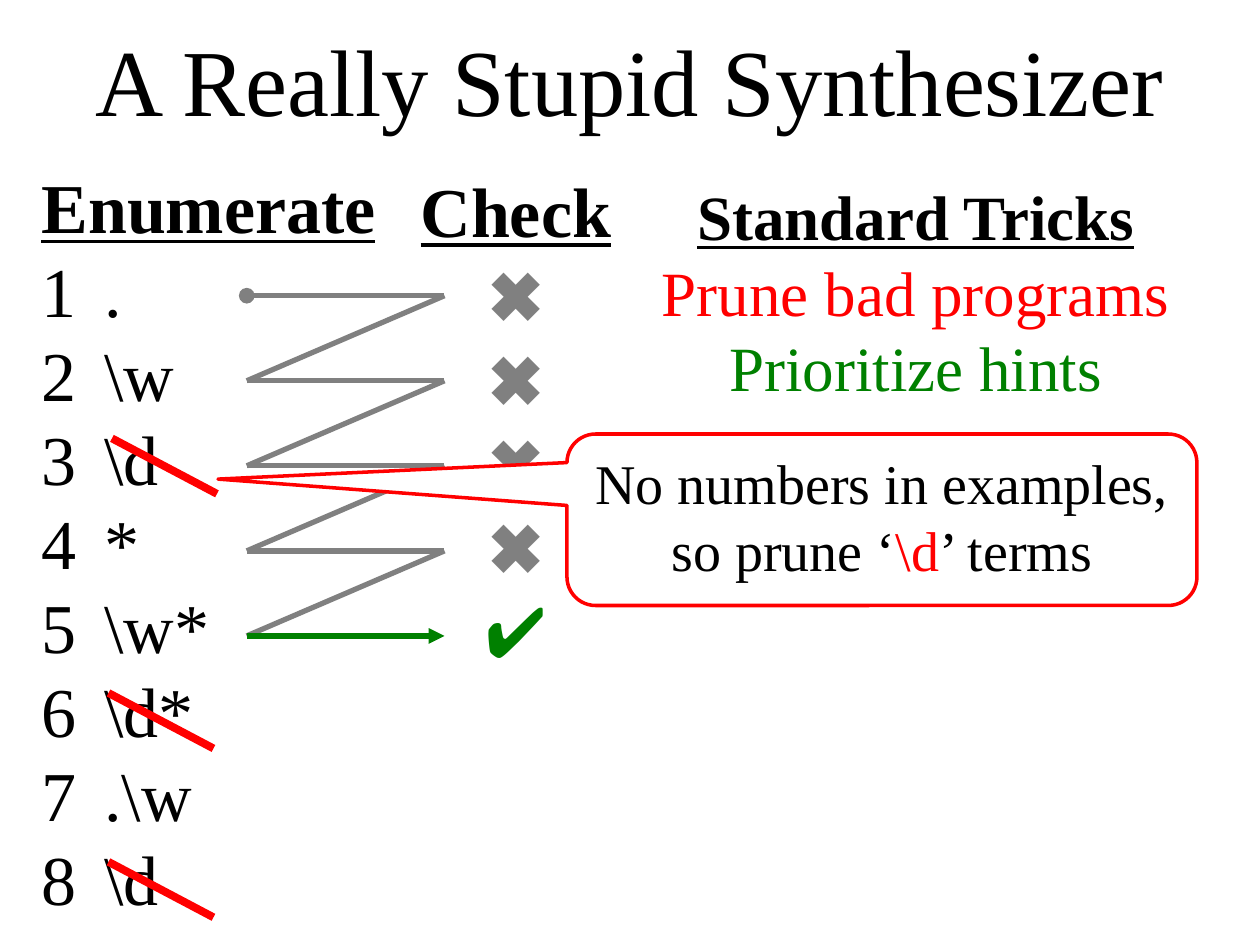
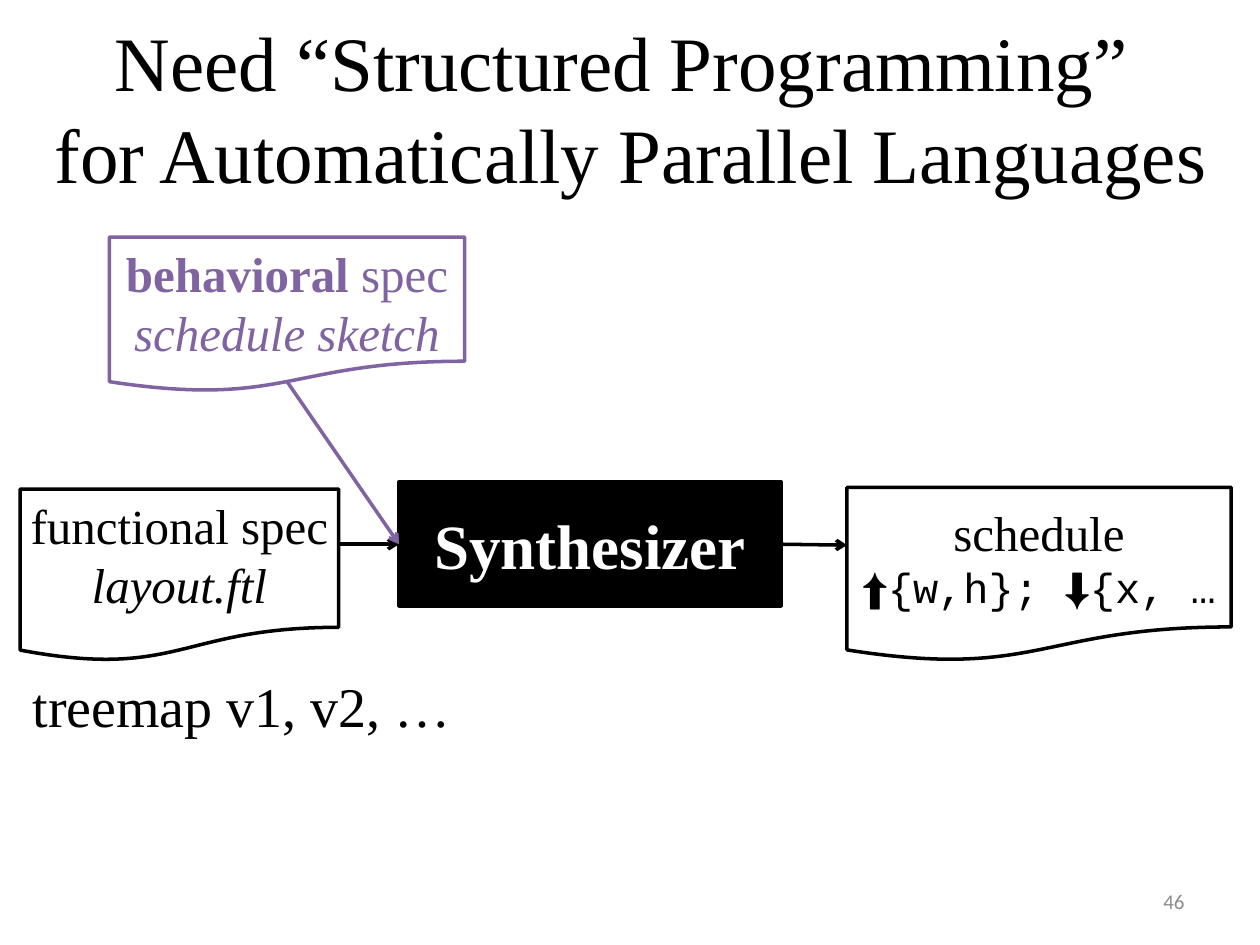
"""Build two slides on program synthesis: an enumerating synthesizer and its schedule pipeline."""
import pptx
import pptx.util
import pptx.dml.color
import pptx.enum.shapes
import pptx.enum.text
import pptx.oxml.ns
import lxml.etree

Pt = pptx.util.Pt
Kind = pptx.enum.shapes.MSO_SHAPE
Anchor = pptx.enum.text.MSO_ANCHOR
Align = pptx.enum.text.PP_ALIGN
qn = pptx.oxml.ns.qn

COLORS = {
    "black": "000000",
    "white": "FFFFFF",
    "red": "FF0000",
    "green": "008000",
    "gray": "808080",
    "purple": "8064A2",
    "number": "8C8C8C",
}
SERIF = "Times New Roman"
HEADING = {"bold": True, "underline": True}


def color(name):
    return pptx.dml.color.RGBColor.from_string(COLORS[name])


class Sketch:
    def __init__(self, deck):
        self.deck = deck
        self.page = None

    def start(self, layout, title, size, place):
        self.page = self.deck.slides.add_slide(self.deck.slide_layouts[layout])
        self.put(self.page.shapes.title, place)
        self.fill_text(self.page.shapes.title, [title], size, Align.CENTER, Anchor.MIDDLE)

    def put(self, box, place):
        box.left, box.top, box.width, box.height = (Pt(length) for length in place)

    def fill_text(self, box, paras, size, align=Align.LEFT, anchor=Anchor.TOP, wrap=True, **style):
        frame = box.text_frame
        frame.auto_size = pptx.enum.text.MSO_AUTO_SIZE.NONE
        frame.word_wrap = wrap
        frame.vertical_anchor = anchor
        for index, spans in enumerate(paras):
            para = frame.paragraphs[0] if index == 0 else frame.add_paragraph()
            para.alignment = align
            para.space_before = Pt(0)
            for span in spans:
                if span == "\n":
                    para.add_line_break()
                    continue
                text, changes = span if isinstance(span, tuple) else (span, {})
                self.span(para, text, {"size": size, **style, **changes})

    def span(self, para, text, style):
        run = para.add_run()
        run.text = text
        font = run.font
        font.name = style.get("font", SERIF)
        font.size = Pt(style["size"])
        font.bold = style.get("bold", False)
        font.italic = style.get("italic", False)
        font.underline = style.get("underline", False)
        font.color.rgb = color(style.get("color", "black"))

    def text(self, place, paras, size, **style):
        box = self.page.shapes.add_textbox(*(Pt(length) for length in place))
        self.fill_text(box, paras, size, **style)

    def numbered(self, place, heading, items, size, tab):
        box = self.page.placeholders[1]
        self.put(box, place)
        rows = [[f"{number}\t{item}"] for number, item in enumerate(items, 1)]
        self.fill_text(box, [[(heading, HEADING)]] + rows, size)
        for para in box.text_frame.paragraphs:
            props = para._p.get_or_add_pPr()
            props.set("marL", "0")
            props.set("indent", "0")
            lxml.etree.SubElement(props, qn("a:buNone"))
            stops = lxml.etree.SubElement(props, qn("a:tabLst"))
            lxml.etree.SubElement(stops, qn("a:tab"), pos=str(Pt(tab)), algn="l")

    def shape(self, kind, place, paras, size, fill="white", line="black", adjust=(), **style):
        box = self.page.shapes.add_shape(kind, *(Pt(length) for length in place))
        box.shadow.inherit = False
        box.fill.solid()
        box.fill.fore_color.rgb = color(fill)
        box.line.color.rgb = color(line)
        box.line.width = Pt(2)
        for index, value in enumerate(adjust):
            box.adjustments[index] = value
        self.fill_text(box, paras, size, align=Align.CENTER, **style)

    def line(self, start, end, ink, width, head=None, tail=None):
        straight = pptx.enum.shapes.MSO_CONNECTOR.STRAIGHT
        link = self.page.shapes.add_connector(
            straight, *(Pt(length) for length in (*start, *end)))
        link.line.color.rgb = color(ink)
        link.line.width = Pt(width)
        props = link.element.spPr
        for tag, mark in (("a:headEnd", head), ("a:tailEnd", tail)):
            if mark:
                lxml.etree.SubElement(props.find(qn("a:ln")), qn(tag), type=mark)
        lxml.etree.SubElement(props, qn("a:effectLst"))


def build_enumeration(sketch):
    sketch.start(1, ["A Really Stupid Synthesizer"], 54, (36, 0, 648, 90))
    terms = [".", r"\w", r"\d", "*", r"\w*", r"\d*", r".\w", r"\d"]
    sketch.numbered((16.5, 90, 320.5, 443.5), "Enumerate", terms, 40, 50)

    checks = [[("✖", {"color": "gray"})]] * 4
    passed = [("✔", {"color": "green", "font": "Arial", "bold": True})]
    sketch.text((229.5, 92, 130.5, 395.5), [[("Check", HEADING)], *checks, passed], 40,
                align=Align.CENTER)

    for left, top in ((64, 250.5), (62, 396), (62, 492.5)):
        sketch.line((left, top), (left + 60, top + 31.7), "red", 4.5)

    tricks = [
        [("Standard Tricks", HEADING)],
        [("Prune bad programs", {"color": "red"})],
        [("Prioritize hints", {"color": "green"})],
    ]
    sketch.text((319.5, 98, 407.5, 138), tricks, 36, align=Align.CENTER)

    left, right, top, pitch = 141, 254, 169, 48.6
    for row in range(4):
        level = top + row * pitch
        sketch.line((left, level), (right, level), "gray", 3, head=None if row else "oval")
        sketch.line((right, level), (left, level + pitch), "gray", 3)
    last = top + 4 * pitch
    sketch.line((left, last), (right, last), "green", 3, tail="triangle")

    reason = ["No numbers in examples,", "\n", "so prune ‘", (r"\d", {"color": "red"}), "’ terms"]
    sketch.shape(Kind.ROUNDED_RECTANGULAR_CALLOUT, (324, 248, 360, 98), [reason], 32,
                 line="red", adjust=(-1.054, -0.237, 0.167))


def build_pipeline(sketch):
    title = ["Need “Structured Programming” ", "\n", "for Automatically Parallel Languages"]
    sketch.start(5, title, 44, (1.5, 16, 718.5, 90))

    sketch.shape(Kind.RECTANGLE, (228, 275.5, 218.5, 71), [["Synthesizer"]], 36, fill="black",
                 anchor=Anchor.MIDDLE, color="white", bold=True)
    functional = ["functional spec", "\n", ("layout.ftl", {"italic": True})]
    sketch.shape(Kind.FLOWCHART_DOCUMENT, (11.5, 279.5, 182, 98.5), [functional], 28, wrap=False)

    symbol = {"font": "Arial", "size": 24}
    code = {"font": "Courier New", "size": 24}
    schedule = ["schedule", "\n", ("⬆", symbol), ("{w,h}; ", code), ("⬇", symbol), ("{x, …", code)]
    sketch.shape(Kind.FLOWCHART_DOCUMENT, (484, 278.5, 219.5, 99.5), [schedule], 28,
                 anchor=Anchor.MIDDLE, wrap=False)

    sketch.line((193.5, 311), (228, 311), "black", 2, tail="arrow")
    sketch.line((446.5, 311), (484, 311.5), "black", 2, tail="arrow")
    sketch.text((516, 500.5, 168, 29), [["46"]], 12, align=Align.RIGHT, anchor=Anchor.MIDDLE,
                font="Calibri", color="number")

    behavioral = [
        [("behavioral", {"bold": True}), " spec"],
        [("schedule sketch", {"italic": True})],
    ]
    sketch.shape(Kind.FLOWCHART_DOCUMENT, (62.5, 135.5, 203, 88.5), behavioral, 28, line="purple",
                 wrap=False, color="purple")
    sketch.line((164, 218), (228, 311), "purple", 2, tail="arrow")
    sketch.text((11.5, 380, 268, 46), [["treemap v1, v2, …"]], 32)


def main():
    deck = pptx.Presentation()
    deck.slide_width, deck.slide_height = Pt(720), Pt(540)
    sketch = Sketch(deck)
    build_enumeration(sketch)
    build_pipeline(sketch)
    deck.save("out.pptx")


if __name__ == "__main__":
    main()
